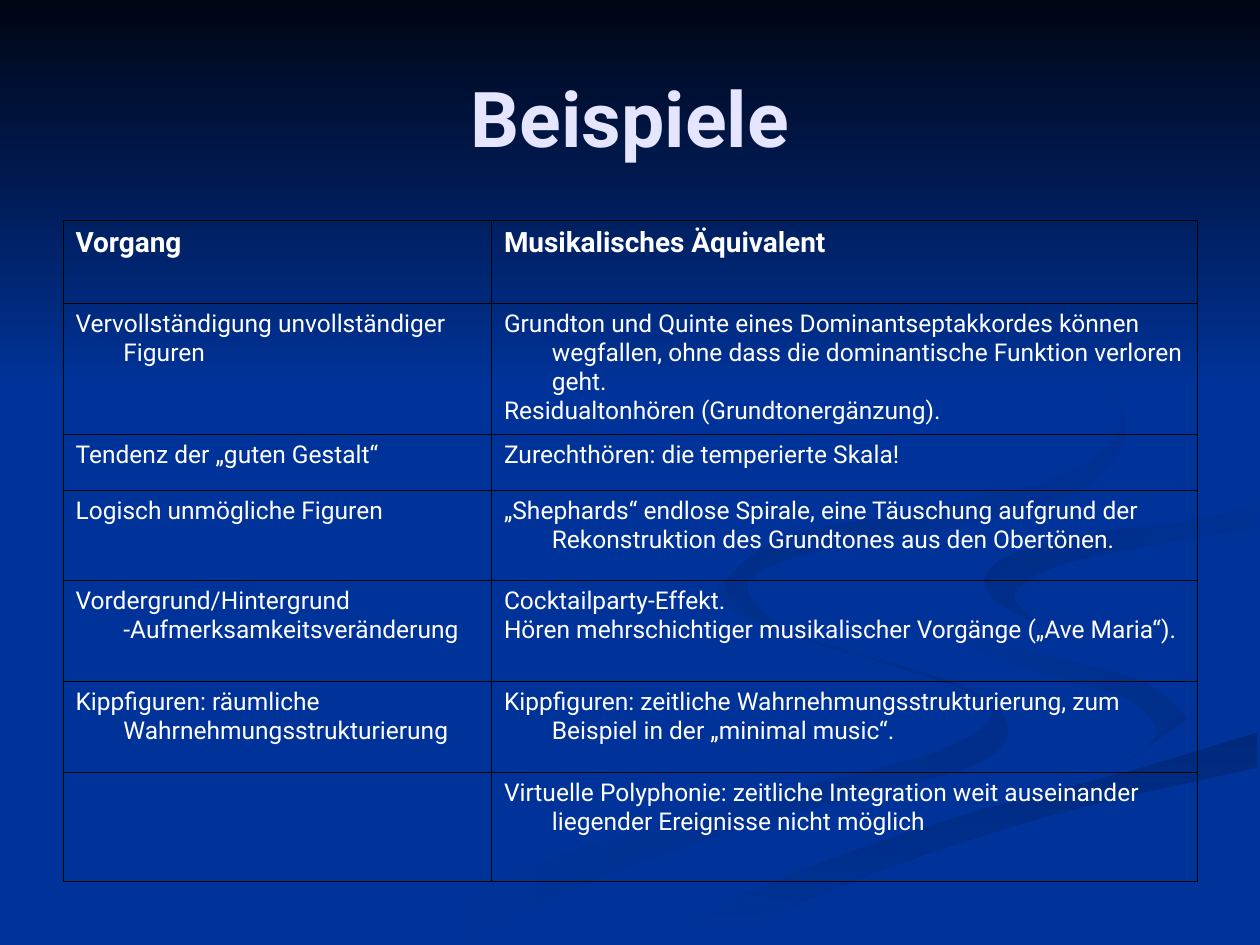
import dataclasses

import lxml.etree
import pptx
import pptx.dml.color
import pptx.enum.shapes
import pptx.enum.text
import pptx.oxml.ns
import pptx.util

Inches = pptx.util.Inches
Pt = pptx.util.Pt
qn = pptx.oxml.ns.qn


@dataclasses.dataclass
class Theme:
    font: str = "Roboto"
    back: str = "003399"
    night: str = "000514"
    dusk: str = "002E8A"
    deep: str = "00297C"
    shade: str = "002C85"
    dark: str = "002B81"
    title: str = "E5E5FF"
    text: str = "FFFFFF"
    line: str = "000000"
    big: int = 44
    head: int = 16
    body: int = 14
    rule: float = 0.45
    hang: float = 0.38


def rgb(code):
    return pptx.dml.color.RGBColor.from_string(code)


def smooth(knots, steps=5):
    """Points of a Catmull-Rom curve that passes through every knot."""
    ends = [knots[0], *knots, knots[-1]]
    points = [knots[0]]
    for a, b, c, d in zip(ends, ends[1:], ends[2:], ends[3:]):
        for step in range(1, steps + 1):
            t = step / steps
            points.append(tuple(
                (2 * q + (r - p) * t + (2 * p - 5 * q + 4 * r - s) * t ** 2
                 + (3 * q - p - 3 * r + s) * t ** 3) / 2
                for p, q, r, s in zip(a, b, c, d)))
    return points


def write(frame, text, font, size, color, bold=False, align=None, hang=0):
    """Fill a text frame, one paragraph per line of text."""
    frame.word_wrap = True
    for i, line in enumerate(text.split("\n")):
        para = frame.paragraphs[0] if i == 0 else frame.add_paragraph()
        if align is not None:
            para.alignment = align
        if hang:
            props = para._p.get_or_add_pPr()
            props.set("marL", str(Inches(hang)))
            props.set("indent", str(-Inches(hang)))
        run = para.add_run()
        run.text = line
        run.font.name = font
        run.font.size = Pt(size)
        run.font.bold = bold
        run.font.color.rgb = rgb(color)


class Page:
    def __init__(self, deck, theme):
        self.theme = theme
        self.slide = deck.slides.add_slide(deck.slide_layouts[6])
        fill = self.slide.background.fill
        fill.solid()
        fill.fore_color.rgb = rgb(theme.back)

    def paint(self, shape, first, last, angle):
        """Fill without outline: plain, or a blend turned clockwise by angle."""
        shape.shadow.inherit = False
        shape.line.fill.background()
        if first == last:
            shape.fill.solid()
            shape.fill.fore_color.rgb = rgb(first)
            return
        shape.fill.gradient()
        shape.fill.gradient_angle = 360 - angle
        for stop, color in zip(shape.fill.gradient_stops, (first, last)):
            stop.color.rgb = rgb(color)

    def ribbon(self, edges, first, last, angle=0):
        """Shape bounded by smooth edges that follow each other around it."""
        points = [(Inches(x), Inches(y)) for edge in edges for x, y in smooth(edge)]
        build = self.slide.shapes.build_freeform(*points[0])
        build.add_line_segments(points[1:], close=True)
        self.paint(build.convert_to_shape(), first, last, angle)

    def block(self, left, top, width, height, first, last, angle=0):
        shape = self.slide.shapes.add_shape(
            pptx.enum.shapes.MSO_SHAPE.RECTANGLE,
            Inches(left), Inches(top), Inches(width), Inches(height))
        self.paint(shape, first, last, angle)

    def title(self, text, left, top, width, height):
        box = self.slide.shapes.add_textbox(
            Inches(left), Inches(top), Inches(width), Inches(height))
        box.text_frame.vertical_anchor = pptx.enum.text.MSO_ANCHOR.MIDDLE
        write(box.text_frame, text, self.theme.font, self.theme.big,
              self.theme.title, bold=True, align=pptx.enum.text.PP_ALIGN.CENTER)

    def border(self, cell):
        props = cell._tc.get_or_add_tcPr()
        for i, side in enumerate(("lnL", "lnR", "lnT", "lnB")):
            line = lxml.etree.Element(qn("a:" + side), w=str(Pt(self.theme.rule)))
            fill = lxml.etree.SubElement(line, qn("a:solidFill"))
            lxml.etree.SubElement(fill, qn("a:srgbClr"), val=self.theme.line)
            props.insert(i, line)

    def table(self, rows, left, top, widths):
        """Each row is its height followed by the texts of its cells."""
        theme = self.theme
        grid = self.slide.shapes.add_table(
            len(rows), len(widths), Inches(left), Inches(top),
            Inches(sum(widths)), Inches(sum(row[0] for row in rows))).table
        grid.first_row = grid.horz_banding = False
        for col, width in zip(grid.columns, widths):
            col.width = Inches(width)
        for r, (height, *texts) in enumerate(rows):
            grid.rows[r].height = Inches(height)
            for c, text in enumerate(texts):
                cell = grid.cell(r, c)
                cell.fill.background()
                self.border(cell)
                if text:
                    write(cell.text_frame, text, theme.font,
                          theme.body if r else theme.head, theme.text,
                          bold=r == 0, hang=theme.hang)


# Ribbon edges as (x, y) knots in inches; neighbours share an edge
TAIL_OUT = [(5.75, 4.59), (5.87, 4.81), (6.42, 5.07), (7.31, 5.33), (7.81, 5.53),
            (8, 5.81), (7.69, 6.09), (6.51, 6.4), (4.99, 6.87), (3.61, 7.49)]
TAIL_IN = [(3, 7.49), (4.17, 6.9), (5.79, 6.39), (7.27, 6.02), (7.83, 5.74),
           (7.76, 5.53), (7.14, 5.3), (6.11, 4.99), (5.72, 4.76), (5.75, 4.59)]
BEND = [(7.24, 4.64), (7.45, 4.9), (8.11, 5.15), (9.05, 5.4), (9.43, 5.7)]
CURL_IN = [(8.94, 6.05), (9.18, 5.81), (8.92, 5.53), (8.15, 5.3), (7.46, 5),
           (7.24, 4.64)]
FALL = [(9.43, 5.7), (9.11, 6), (8.13, 6.25), (6.63, 6.68), (4.77, 7.49)]
BAND_TOP = [(5.03, 7.49), (5.19, 7.47), (6.3, 6.93), (7.64, 6.47), (9.03, 6.1),
            (9.98, 5.81)]
BAND_LOW = [(9.98, 6.09), (8.61, 6.4), (7.52, 6.72), (6.49, 7.1), (5.71, 7.49)]
RISE = [(9.98, 5.38), (9.04, 5.19), (8.17, 4.92), (7.81, 4.6)]
RIM = [(7.81, 4.6), (7.99, 4.42), (8.65, 4.24), (9.33, 4.15), (9.98, 4.02)]
CREST = [(9.98, 3.87), (8.74, 4.08), (7.7, 4.27), (7.24, 4.64)]
HOOK_IN = [(9.98, 4.2), (9.36, 4.29), (8.43, 4.48), (8.05, 4.72), (8.26, 4.96)]
HOOK_END = [(8.26, 4.96), (7.91, 4.78), (7.81, 4.6)]
SWIRL_OUT = [(7.62, 2.33), (8.21, 2.61), (8.73, 2.99), (8.94, 3.44), (8.55, 3.91),
             (7.64, 4.17), (6.83, 4.3), (6.14, 4.48), (5.93, 4.7), (6.22, 5)]
SWIRL_IN = [(6.22, 5), (5.96, 4.88), (5.77, 4.62), (6.25, 4.26), (7.33, 4.04),
            (8.42, 3.78), (8.88, 3.41), (8.76, 3.06), (8.26, 2.66), (7.62, 2.33)]

ROWS = [
    (0.66, "Vorgang", "Musikalisches Äquivalent"),
    (1.04, "Vervollständigung unvollständiger Figuren",
     "Grundton und Quinte eines Dominantseptakkordes können wegfallen, "
     "ohne dass die dominantische Funktion verloren geht.\n"
     "Residualtonhören (Grundtonergänzung)."),
    (0.44, "Tendenz der „guten Gestalt“", "Zurechthören: die temperierte Skala!"),
    (0.72, "Logisch unmögliche Figuren",
     "„Shephards“ endlose Spirale, eine Täuschung aufgrund der "
     "Rekonstruktion des Grundtones aus den Obertönen."),
    (0.8, "Vordergrund/Hintergrund -Aufmerksamkeitsveränderung",
     "Cocktailparty-Effekt.\n"
     "Hören mehrschichtiger musikalischer Vorgänge („Ave Maria“)."),
    (0.72, "Kippfiguren: räumliche Wahrnehmungsstrukturierung",
     "Kippfiguren: zeitliche Wahrnehmungsstrukturierung, zum Beispiel "
     "in der „minimal music“."),
    (0.87, "", "Virtuelle Polyphonie: zeitliche Integration weit auseinander "
               "liegender Ereignisse nicht möglich"),
]


def main():
    deck = pptx.Presentation()
    deck.slide_width, deck.slide_height = Inches(10), Inches(7.5)
    theme = Theme()
    page = Page(deck, theme)

    # Background ribbons, back to front: edges, first and last colour, angle
    for ribbon in (
        ((TAIL_OUT, TAIL_IN), theme.dusk, theme.back, 180),
        ((BEND, CURL_IN), theme.dusk, theme.back, 225),
        ((BAND_TOP, BAND_LOW), theme.deep, theme.back, 90),
        ((BEND, FALL, BAND_TOP, RISE, RIM, CREST), theme.back, theme.back),
        ((RIM, HOOK_IN, HOOK_END), theme.back, theme.shade, 225),
        ((SWIRL_OUT, SWIRL_IN), theme.back, theme.dark, 225),
    ):
        page.ribbon(*ribbon)

    # Night sky over the top of the slide
    page.block(0, 0, 10, 3.08, theme.night, theme.back, 90)

    # Title and table
    page.title("Beispiele", 0.5, 0.3, 9, 1.25)
    page.table(ROWS, 0.5, 1.75, (3.4, 5.6))
    deck.save("out.pptx")


if __name__ == "__main__":
    main()
